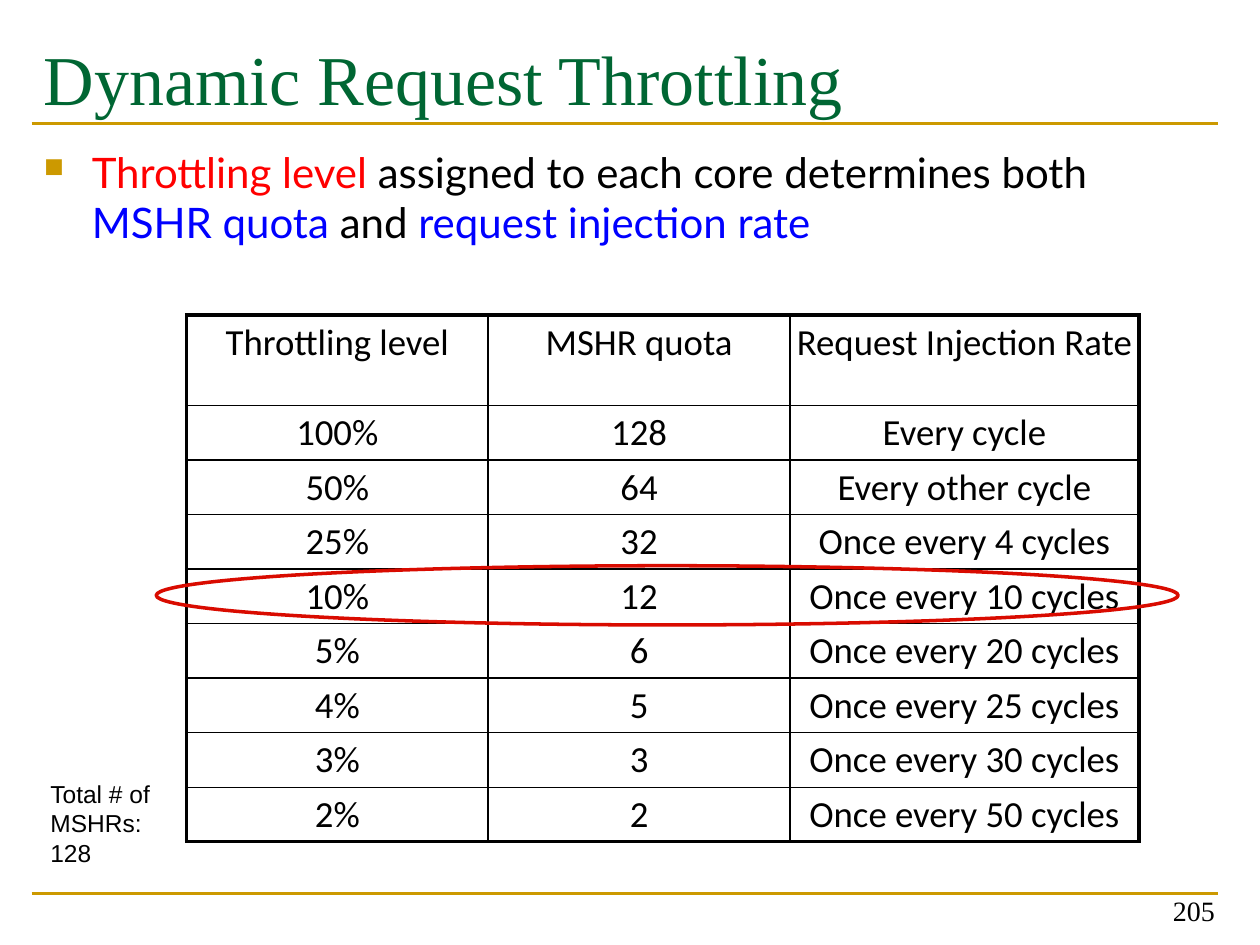
from dataclasses import dataclass

from lxml import etree
from pptx import Presentation
from pptx.dml.color import RGBColor
from pptx.enum.shapes import MSO_CONNECTOR, MSO_SHAPE
from pptx.enum.text import MSO_ANCHOR, PP_ALIGN
from pptx.oxml.ns import qn
from pptx.util import Emu, Inches, Pt

STRAIGHT, OVAL = MSO_CONNECTOR.STRAIGHT, MSO_SHAPE.OVAL
LEFT, CENTER, RIGHT = PP_ALIGN.LEFT, PP_ALIGN.CENTER, PP_ALIGN.RIGHT
TOP, BOTTOM = MSO_ANCHOR.TOP, MSO_ANCHOR.BOTTOM
WIDTH, HEIGHT = Inches(10), Inches(7.5)


@dataclass(frozen=True)
class Font:
    name: str
    size: float
    color: str = "000000"


@dataclass(frozen=True)
class Theme:
    gold: str = "CC9900"
    black: str = "000000"
    red: str = "FF0000"
    blue: str = "0000FF"
    ring: str = "D90B00"
    title: Font = Font("Times New Roman", 40, "006633")
    body: Font = Font("Lato", 24)
    number: Font = Font("Times New Roman", 16)
    cell: Font = Font("Calibri", 21)
    note: Font = Font("Arial", 14)
    rule: float = 1.5
    ring_line: float = 2
    outer_border: float = 2.25
    inner_border: float = 1


@dataclass(frozen=True)
class Area:
    """A rectangle in percent of the slide's width and height."""
    left: float
    top: float
    width: float
    height: float

    def emu(self) -> tuple:
        return across(self.left), down(self.top), across(self.width), down(self.height)


@dataclass(frozen=True)
class Span:
    text: str
    color: str


THEME = Theme()
RULE_LEFT, RULE_RIGHT = 2.5, 96.7
RULE_ROWS = (13.07, 94.53)
TITLE_AREA = Area(2.5, 3.07, 94.2, 10)
BODY_AREA = Area(2.5, 14.8, 94.2, 16)
NUMBER_AREA = Area(74.1, 92.13, 23.3, 6.67)
NOTE_AREA = Area(3.6, 82.4, 11.3, 9.6)
RING_AREA = Area(12.4, 59.87, 81.1, 6.27)
TABLE_LEFT, TABLE_TOP = 14.8, 33.33
COLUMN_WIDTHS = (23.95, 23.95, 27.7)
HEADER_HEIGHT, ROW_HEIGHT = 9.6, 5.77

BODY = (
    Span("Throttling level ", THEME.red),
    Span("assigned to each core determines both ", THEME.black),
    Span("MSHR quota ", THEME.blue),
    Span("and ", THEME.black),
    Span("request injection rate", THEME.blue),
)
LEVELS = (
    ("Throttling level", "MSHR quota", "Request Injection Rate"),
    ("100%", "128", "Every cycle"),
    ("50%", "64", "Every other cycle"),
    ("25%", "32", "Once every 4 cycles"),
    ("10%", "12", "Once every 10 cycles"),
    ("5%", "6", "Once every 20 cycles"),
    ("4%", "5", "Once every 25 cycles"),
    ("3%", "3", "Once every 30 cycles"),
    ("2%", "2", "Once every 50 cycles"),
)


def across(share: float) -> Emu:
    return Emu(round(WIDTH * share / 100))


def down(share: float) -> Emu:
    return Emu(round(HEIGHT * share / 100))


def set_font(para, font: Font) -> None:
    para.font.name = font.name
    para.font.size = Pt(font.size)
    para.font.color.rgb = RGBColor.from_string(font.color)


def add_text(page, area: Area, lines: tuple, font: Font, align=LEFT, anchor=TOP):
    frame = page.shapes.add_textbox(*area.emu()).text_frame
    frame.word_wrap = True
    frame.vertical_anchor = anchor
    for index, line in enumerate(lines):
        para = frame.paragraphs[0] if index == 0 else frame.add_paragraph()
        para.text = line
        para.alignment = align
        set_font(para, font)
    return frame


def add_body(page) -> None:
    para = add_text(page, BODY_AREA, (), THEME.body).paragraphs[0]
    properties = para._p.get_or_add_pPr()
    indent = Inches(0.38)
    properties.set("marL", str(indent))
    properties.set("indent", str(-indent))
    bullet_color = etree.SubElement(properties, qn("a:buClr"))
    etree.SubElement(bullet_color, qn("a:srgbClr"), val=THEME.gold)
    etree.SubElement(properties, qn("a:buSzPct"), val="65000")
    etree.SubElement(properties, qn("a:buChar"), char="■")
    para.font.name, para.font.size = THEME.body.name, Pt(THEME.body.size)
    for span in BODY:
        run = para.add_run()
        run.text = span.text
        run.font.color.rgb = RGBColor.from_string(span.color)


def add_rule(page, row: float) -> None:
    rule = page.shapes.add_connector(
        STRAIGHT, across(RULE_LEFT), down(row), across(RULE_RIGHT), down(row))
    rule.line.color.rgb = RGBColor.from_string(THEME.gold)
    rule.line.width = Pt(THEME.rule)
    etree.SubElement(rule._element.spPr, qn("a:effectLst"))


def set_borders(cell, outer_sides: dict) -> None:
    """Draw each side thick where it lies on the table's edge, else thin."""
    properties = cell._tc.get_or_add_tcPr()
    for index, (side, outer) in enumerate(outer_sides.items()):
        width = Pt(THEME.outer_border if outer else THEME.inner_border)
        border = etree.Element(qn(f"a:ln{side}"), w=str(width))
        fill = etree.SubElement(border, qn("a:solidFill"))
        etree.SubElement(fill, qn("a:srgbClr"), val=THEME.black)
        properties.insert(index, border)


def add_levels_table(page) -> None:
    last_row, last_column = len(LEVELS) - 1, len(COLUMN_WIDTHS) - 1
    area = Area(TABLE_LEFT, TABLE_TOP, sum(COLUMN_WIDTHS),
                HEADER_HEIGHT + last_row * ROW_HEIGHT)
    table = page.shapes.add_table(len(LEVELS), len(COLUMN_WIDTHS), *area.emu()).table
    table.first_row = table.horz_banding = False
    for column, width in zip(table.columns, COLUMN_WIDTHS):
        column.width = across(width)
    for r, values in enumerate(LEVELS):
        table.rows[r].height = down(ROW_HEIGHT if r else HEADER_HEIGHT)
        for c, value in enumerate(values):
            cell = table.cell(r, c)
            cell.margin_left = cell.margin_right = Inches(0.04)
            cell.margin_top = cell.margin_bottom = Inches(0.04)
            cell.fill.background()
            set_borders(cell, {"L": c == 0, "R": c == last_column,
                               "T": r == 0, "B": r == last_row})
            para = cell.text_frame.paragraphs[0]
            para.text = value
            para.alignment = CENTER
            set_font(para, THEME.cell)


def add_note(page) -> None:
    frame = add_text(page, NOTE_AREA, ("Total # of", "MSHRs: 128"), THEME.note)
    frame.margin_left = frame.margin_right = Inches(0.04)
    frame.margin_top = frame.margin_bottom = 0


def add_ring(page) -> None:
    ring = page.shapes.add_shape(OVAL, *RING_AREA.emu())
    ring.shadow.inherit = False
    ring.fill.background()
    ring.line.color.rgb = RGBColor.from_string(THEME.ring)
    ring.line.width = Pt(THEME.ring_line)


def main() -> None:
    deck = Presentation()
    deck.slide_width, deck.slide_height = WIDTH, HEIGHT
    page = deck.slides.add_slide(deck.slide_layouts[6])
    for row in RULE_ROWS:
        add_rule(page, row)
    add_text(page, TITLE_AREA, ("Dynamic Request Throttling",), THEME.title)
    add_body(page)
    add_text(page, NUMBER_AREA, ("205",), THEME.number, RIGHT, BOTTOM)
    add_levels_table(page)
    add_note(page)
    add_ring(page)
    deck.save("out.pptx")


if __name__ == "__main__":
    main()
